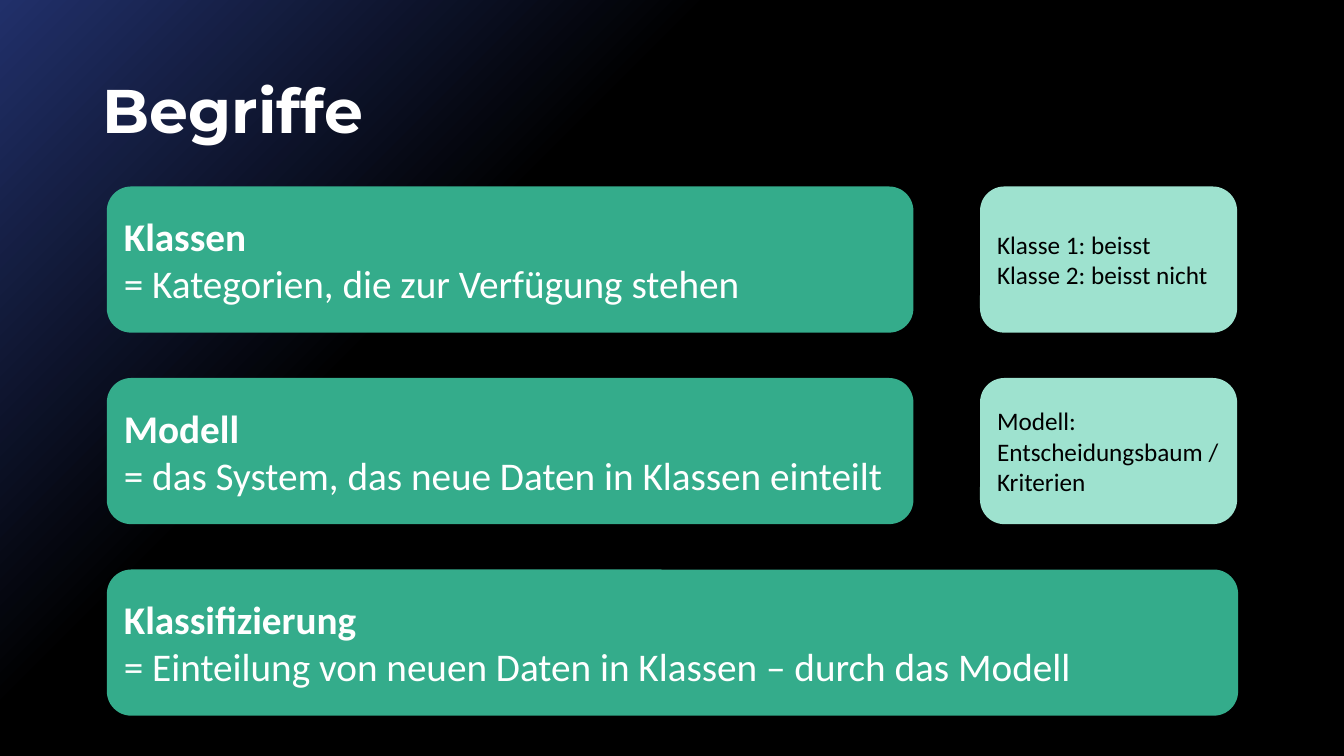
from dataclasses import dataclass

from pptx import Presentation
from pptx import util as u
from pptx.dml.color import RGBColor
from pptx.enum import shapes, text


@dataclass(frozen=True)
class Theme:
    glow: str = "21306A"
    night: str = "000000"
    term_fill: str = "34AC8B"
    example_fill: str = "9EE2CF"
    light: str = "FFFFFF"
    dark: str = "000000"
    heading_font: str = "Montserrat"
    body_font: str = "Calibri"
    title_size: int = 44
    term_size: int = 28
    example_size: int = 18


class SlideBuilder:
    def __init__(self, page, theme):
        self.page = page
        self.theme = theme

    def background(self):
        """Fade from the glowing top left corner to black."""
        fill = self.page.background.fill
        fill.gradient()
        fill.gradient_angle = 315
        colors = (self.theme.glow, self.theme.night)
        for stop, color, position in zip(fill.gradient_stops, colors, (0, 0.34)):
            stop.color.rgb = RGBColor.from_string(color)
            stop.position = position

    def add_run(self, para, words, font, size, color, bold=False):
        span = para.add_run()
        span.text = words
        span.font.name = font
        span.font.size = u.Pt(size)
        span.font.bold = bold
        span.font.color.rgb = RGBColor.from_string(color)

    def prepare_text(self, box):
        frame = box.text_frame
        frame.word_wrap = True
        frame.vertical_anchor = text.MSO_ANCHOR.MIDDLE
        para = frame.paragraphs[0]
        para.alignment = text.PP_ALIGN.LEFT
        return para

    def title(self, words, left, top, width, height):
        box = self.page.shapes.add_textbox(*map(u.Inches, (left, top, width, height)))
        para = self.prepare_text(box)
        para.line_spacing = 0.9
        theme = self.theme
        self.add_run(para, words, theme.heading_font, theme.title_size, theme.light, bold=True)

    def card(self, fill, left, top, width, height):
        """Draw a rounded card and return its first paragraph."""
        box = self.page.shapes.add_shape(
            shapes.MSO_SHAPE.ROUNDED_RECTANGLE, *map(u.Inches, (left, top, width, height)))
        box.shadow.inherit = False
        box.fill.solid()
        box.fill.fore_color.rgb = RGBColor.from_string(fill)
        box.line.fill.background()
        return self.prepare_text(box)

    def term(self, name, meaning, *place):
        theme = self.theme
        para = self.card(theme.term_fill, *place)
        self.add_run(para, name, theme.body_font, theme.term_size, theme.light, bold=True)
        para.add_line_break()
        self.add_run(para, meaning, theme.body_font, theme.term_size, theme.light)

    def example(self, lines, *place):
        theme = self.theme
        para = self.card(theme.example_fill, *place)
        for index, line in enumerate(lines):
            if index:
                para.add_line_break()
            self.add_run(para, line, theme.body_font, theme.example_size, theme.dark)


TERMS = [
    ("Klassen", "= Kategorien, die zur Verfügung stehen",
     ["Klasse 1: beisst", "Klasse 2: beisst nicht"]),
    ("Modell", "= das System, das neue Daten in Klassen einteilt",
     ["Modell: Entscheidungsbaum / Kriterien"]),
    ("Klassifizierung", "= Einteilung von neuen Daten in Klassen – durch das Modell", []),
]
TERM_LEFT, TERM_WIDTH, FULL_WIDTH = 1.06, 8, 11.22
EXAMPLE_LEFT, EXAMPLE_WIDTH = 9.72, 2.55
FIRST_TOP, ROW_STEP, CARD_HEIGHT = 1.85, 1.9, 1.45


def main():
    deck = Presentation()
    deck.slide_width = u.Inches(13.33)
    deck.slide_height = u.Inches(7.5)
    page = deck.slides.add_slide(deck.slide_layouts[6])

    builder = SlideBuilder(page, Theme())
    builder.background()
    builder.title("Begriffe", 0.92, 0.4, 11.5, 1.45)
    for row, (name, meaning, lines) in enumerate(TERMS):
        top = FIRST_TOP + row * ROW_STEP
        width = TERM_WIDTH if lines else FULL_WIDTH
        builder.term(name, meaning, TERM_LEFT, top, width, CARD_HEIGHT)
        if lines:
            builder.example(lines, EXAMPLE_LEFT, top, EXAMPLE_WIDTH, CARD_HEIGHT)

    deck.save("out.pptx")


if __name__ == "__main__":
    main()
